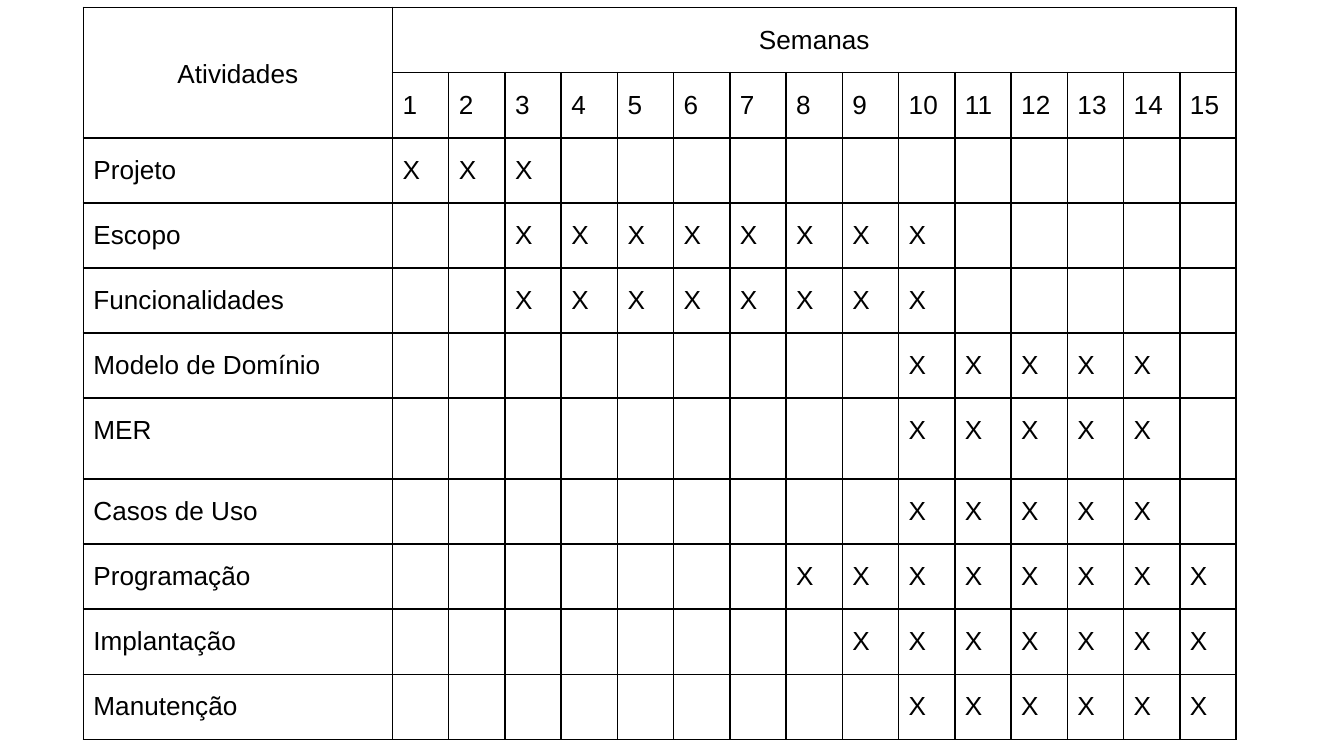
from lxml import etree
from pptx import Presentation
from pptx.dml.color import RGBColor
from pptx.enum.text import MSO_ANCHOR, PP_ALIGN
from pptx.oxml.ns import qn
from pptx.util import Inches, Pt

CENTER, LEFT = PP_ALIGN.CENTER, PP_ALIGN.LEFT
MIDDLE, TOP = MSO_ANCHOR.MIDDLE, MSO_ANCHOR.TOP

COLORS = {"ink": "000000"}
WEEKS = 15
ACTIVITIES = [
    ("Projeto", 1, 3),
    ("Escopo", 3, 10),
    ("Funcionalidades", 3, 10),
    ("Modelo de Domínio", 10, 14),
    ("MER", 10, 14),
    ("Casos de Uso", 10, 14),
    ("Programação", 8, 15),
    ("Implantação", 9, 15),
    ("Manutenção", 10, 15),
]
HEADER_ROWS = 2
TALL_ACTIVITY = "MER"
TALL_HEIGHT = 0.6
SLIDE_WIDTH = 10
SLIDE_HEIGHT = SLIDE_WIDTH * 9 / 16
LEFT_EDGE, TOP_EDGE = Inches(0.62), Pt(4)
TABLE_WIDTH, TABLE_HEIGHT = 8.58, 5.45
NAME_WIDTH = 2.3
MARGINS = {
    "margin_left": Pt(5.4),
    "margin_right": Pt(5.4),
    "margin_top": Inches(0.1),
    "margin_bottom": Inches(0.1),
}
FONT = {"name": "Arial", "size": Pt(14), "bold": False}


def outline(cell):
    properties = cell._tc.get_or_add_tcPr()
    for side in ("lnL", "lnR", "lnT", "lnB"):
        line = etree.SubElement(properties, qn(f"a:{side}"), w=str(Pt(1)))
        fill = etree.SubElement(line, qn("a:solidFill"))
        etree.SubElement(fill, qn("a:srgbClr"), val=COLORS["ink"])
    cell.fill.background()


def write(cell, text, align=LEFT, anchor=TOP):
    for name, value in MARGINS.items():
        setattr(cell, name, value)
    cell.vertical_anchor = anchor
    para = cell.text_frame.paragraphs[0]
    para.alignment = align
    para.line_spacing = 1.15
    span = para.add_run()
    span.text = text
    for name, value in FONT.items():
        setattr(span.font, name, value)
    span.font.color.rgb = RGBColor.from_string(COLORS["ink"])


deck = Presentation()
deck.slide_width, deck.slide_height = Inches(SLIDE_WIDTH), Inches(SLIDE_HEIGHT)
page = deck.slides.add_slide(deck.slide_layouts[6])

row_count = HEADER_ROWS + len(ACTIVITIES)
schedule = page.shapes.add_table(
    row_count, WEEKS + 1, LEFT_EDGE, TOP_EDGE, Inches(TABLE_WIDTH), Inches(TABLE_HEIGHT)
).table
schedule.first_row = schedule.horz_banding = False

week_width = (TABLE_WIDTH - NAME_WIDTH) / WEEKS
row_height = (TABLE_HEIGHT - TALL_HEIGHT) / (row_count - 1)
for index, column in enumerate(schedule.columns):
    column.width = Inches(week_width if index else NAME_WIDTH)
for row in schedule.rows:
    row.height = Inches(row_height)
    for cell in row.cells:
        outline(cell)

schedule.cell(0, 0).merge(schedule.cell(1, 0))
schedule.cell(0, 1).merge(schedule.cell(0, WEEKS))
write(schedule.cell(0, 0), "Atividades", CENTER, MIDDLE)
write(schedule.cell(0, 1), "Semanas", CENTER)
for week in range(1, WEEKS + 1):
    write(schedule.cell(1, week), str(week))

for index, (activity, first, last) in enumerate(ACTIVITIES, HEADER_ROWS):
    write(schedule.cell(index, 0), activity)
    if activity == TALL_ACTIVITY:
        schedule.rows[index].height = Inches(TALL_HEIGHT)
    for week in range(first, last + 1):
        write(schedule.cell(index, week), "X")

deck.save("out.pptx")
